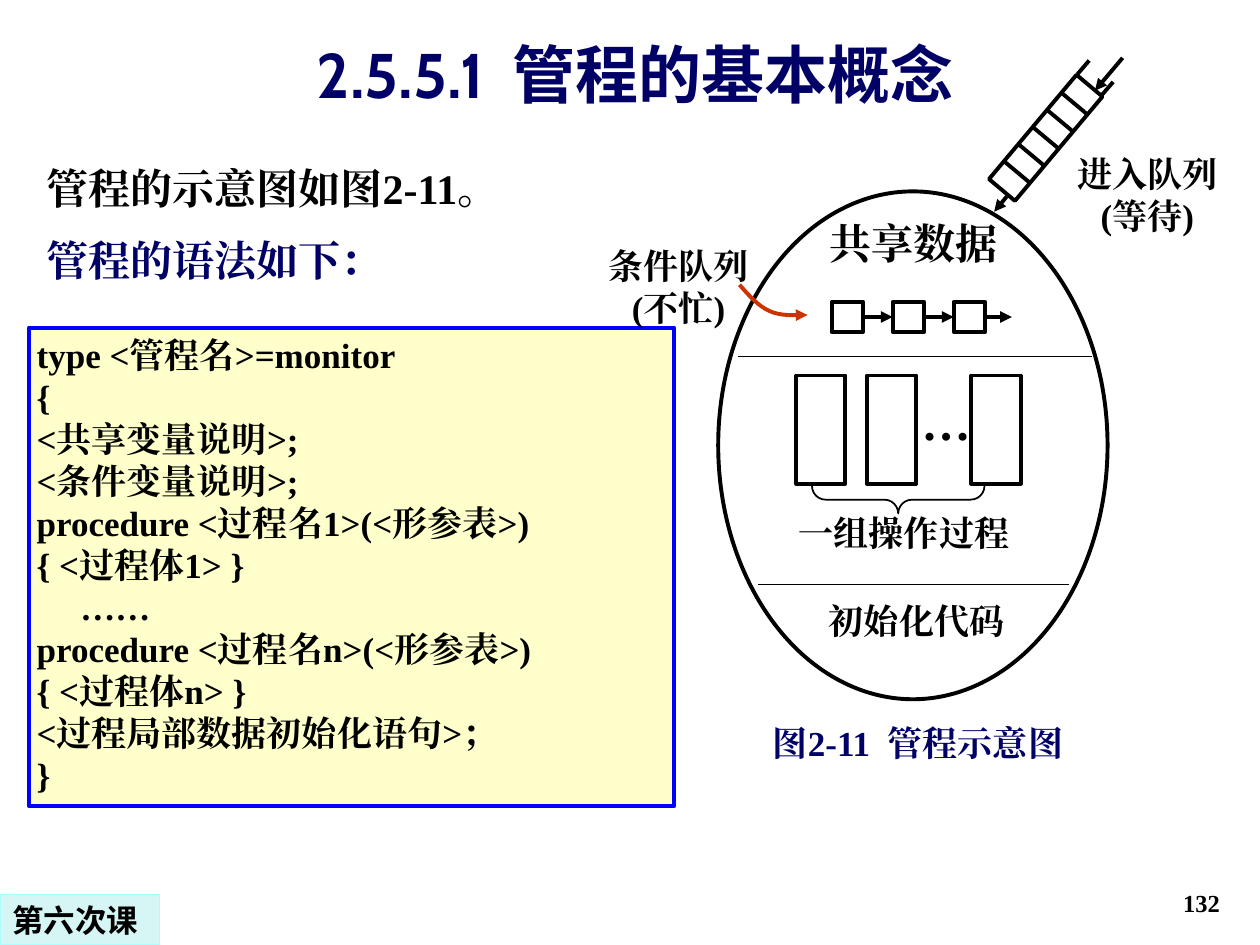
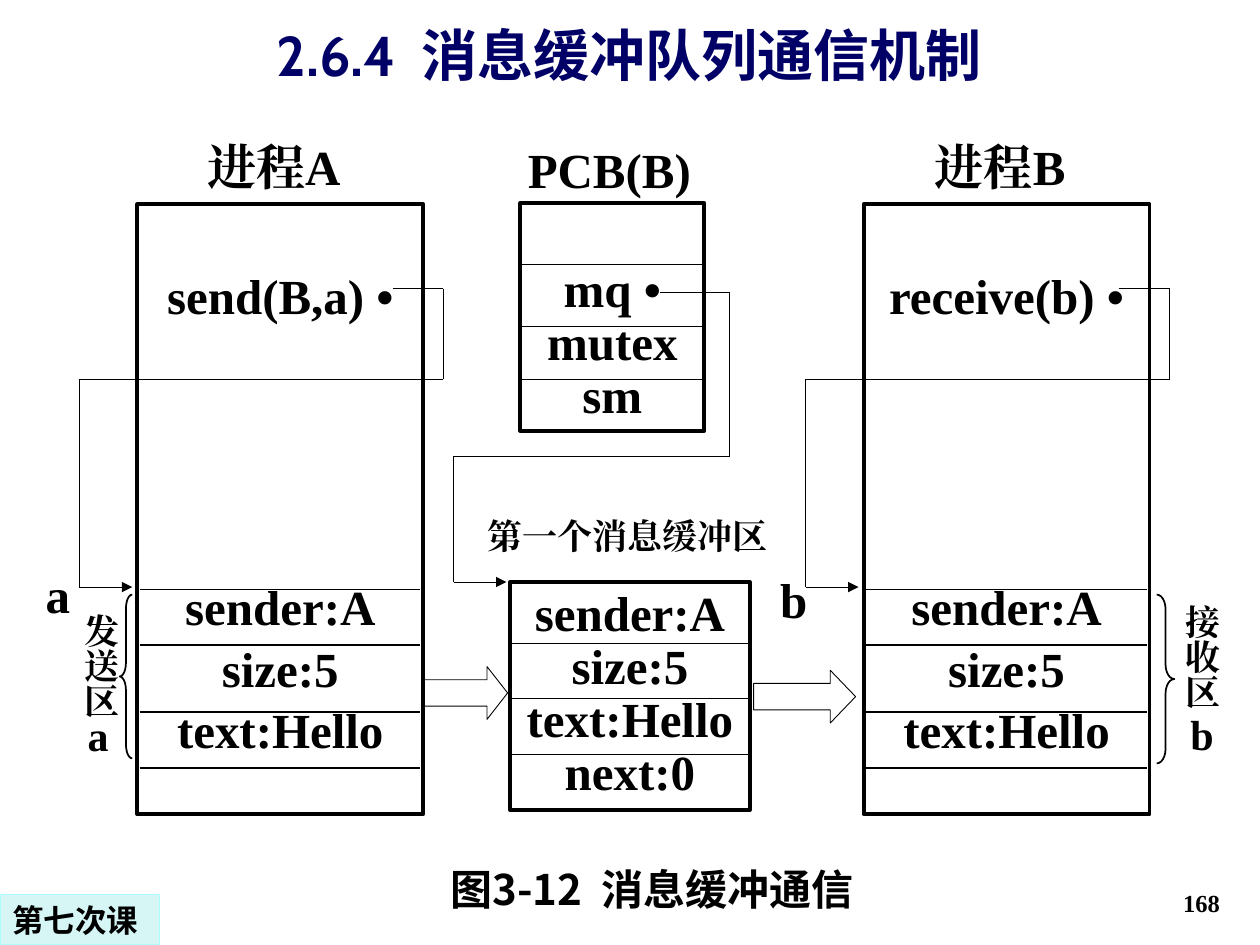
from itertools import pairwise

from pptx import Presentation
from pptx.dml.color import RGBColor
from pptx.enum.shapes import MSO_CONNECTOR, MSO_SHAPE
from pptx.enum.text import MSO_ANCHOR, PP_ALIGN
from pptx.oxml.ns import qn
from pptx.oxml.xmlchemy import OxmlElement
from pptx.util import Pt

STRAIGHT = MSO_CONNECTOR.STRAIGHT
RECT, ELLIPSE = MSO_SHAPE.RECTANGLE, MSO_SHAPE.OVAL
LEFT_BRACE, RIGHT_BRACE = MSO_SHAPE.LEFT_BRACE, MSO_SHAPE.RIGHT_BRACE
RIGHT_ARROW = MSO_SHAPE.RIGHT_ARROW
TOP, BOTTOM = MSO_ANCHOR.TOP, MSO_ANCHOR.BOTTOM
LEFT, CENTER, RIGHT = PP_ALIGN.LEFT, PP_ALIGN.CENTER, PP_ALIGN.RIGHT
SIDE_LEFT, SIDE_RIGHT = 1, 3

COLORS = {"ink": "000000", "navy": "000066", "white": "FFFFFF",
          "code": "FFFFCC", "code_edge": "0000FF", "tag": "D6F5F5",
          "tag_edge": "ADFFFF", "pointer": "CC3300"}
SERIF, TITLE, SANS, TAG = "Times New Roman", "Cabin", "Noto Sans CJK SC", "DejaVu Sans"
NORMAL, TIGHT, NARROW, NONE = (4.32, 3.6), (1.44, 0.72), (1.44, 3.6), (0, 0)
WIDE = (7.2, 3.6)
HEAVY, BRACE, RULE, THIN = 2.25, 1, 0.75, 0.5

# ---- Content: monitor slide ----
MONITOR_TITLE = "2.5.5.1  管程的基本概念"
INTRO = [("管程的示意图如图2-11。", (22.3, 89.3, 650, 36), "ink"),
         ("管程的语法如下：", (22.3, 130.3, 291, 36), "navy")]
SYNTAX = ["type <管程名>=monitor", "{", "<共享变量说明>;", "<条件变量说明>;",
          "procedure <过程名1>(<形参表>)", "{ <过程体1> }", "     ……",
          "procedure <过程名n>(<形参表>)", "{ <过程体n> }",
          "<过程局部数据初始化语句>；", "}"]
# text, frame, size, colour
MONITOR_LABELS = [
    ("共享数据", (458.6, 121, 126.7, 36), 24, "ink"),
    ("一组操作过程", (432.7, 288.7, 167.8, 31), 20, "ink"),
    ("初始化代码", (460.8, 339.1, 126, 31), 20, "ink"),
    ("图2-11  管程示意图", (387.4, 409, 274.3, 31.7), 20, "navy"),
]
QUEUE_LABELS = [(["进入队列", "(等待)"], (599.8, 83.5, 111.6, 55.4)),
                (["条件队列", "(不忙)"], (331.9, 136.1, 111.6, 55.4))]

# ---- Content: message buffer slide ----
MESSAGE_TITLE = "2.6.4  消息缓冲队列通信机制"
MESSAGE = ["sender:A", "size:5", "text:Hello"]
PROCESSES = [("进程A", "send(B,a) •"), ("进程B", "receive(b) •")]
PROCESS_PITCH = 415
PCB_ROWS = ["mq •", "mutex", "sm"]
MESSAGE_LABELS = [
    ("PCB(B)", (279.4, 76.3, 137.5, 41), 28, SERIF, NORMAL),
    ("a", (10.8, 321.8, 44.6, 35.3), 28, SERIF, TIGHT),
    ("b", (431.3, 324.7, 44.6, 35.3), 28, SERIF, TIGHT),
    ("a", (33.8, 404.6, 44.6, 30.2), 24, SERIF, TIGHT),
    ("b", (664.6, 403.9, 44.6, 30.2), 24, SERIF, TIGHT),
    ("第一个消息缓冲区", (259.2, 290.2, 198.7, 31), 20, SERIF, NORMAL),
    ("图3-12  消息缓冲通信", (170.6, 489.6, 404, 36.7), 24, SANS, NORMAL),
]
AREA_LABELS = [("发送区", (41.8, 343.4, 32.4, 77)), ("接收区", (671, 338.4, 32.4, 77))]


# ---- Shared drawing helpers ----
def color(name):
    return RGBColor.from_string(COLORS[name])


def points(values):
    return [Pt(value) for value in values]


def write(box, lines, size, font=SERIF, ink="ink", align=CENTER, anchor=TOP,
          insets=NORMAL, pitch=None, latin=None):
    frame = box.text_frame
    frame.word_wrap = True
    frame.vertical_anchor = anchor
    frame.margin_left = frame.margin_right = Pt(insets[0])
    frame.margin_top = frame.margin_bottom = Pt(insets[1])
    frame.text = "\n".join(lines)
    for para in frame.paragraphs:
        para.alignment = align
        if pitch:
            para.line_spacing = Pt(pitch)
        for span in para.runs:
            span.font.size, span.font.bold = Pt(size), True
            span.font.color.rgb = color(ink)
            span.font.name = latin or font
            east_asian = OxmlElement("a:ea")
            east_asian.set("typeface", font)
            span.font.color  # colour stays ahead of the typefaces
            span.font._element.append(east_asian)
    return frame


def label(page, lines, frame, size, **style):
    box = page.shapes.add_textbox(*points(frame))
    write(box, lines, size, **style)
    return box


def shape(page, kind, frame, fill=None, edge="ink", weight=HEAVY, rotation=0, adjust=()):
    item = page.shapes.add_shape(kind, *points(frame))
    item.shadow.inherit = False
    item.rotation = rotation
    for index, value in enumerate(adjust):
        item.adjustments[index] = value
    if fill:
        item.fill.solid()
        item.fill.fore_color.rgb = color(fill)
    else:
        item.fill.background()
    item.line.color.rgb = color(edge)
    item.line.width = Pt(weight)
    return item


def add_arrowhead(item):
    tail = OxmlElement("a:tailEnd")
    tail.set("type", "triangle")
    item._element.spPr.find(qn("a:ln")).append(tail)


def line(page, start, end, weight=HEAVY, arrow=False):
    item = page.shapes.add_connector(STRAIGHT, *points((*start, *end)))
    item.line.color.rgb = color("ink")
    item.line.width = Pt(weight)
    if arrow:
        add_arrowhead(item)
    item._element.spPr.append(OxmlElement("a:effectLst"))
    return item


def route(page, corners):
    for start, end in pairwise(corners):
        line(page, start, end, THIN, arrow=end == corners[-1])


def new_page(deck, number, lesson):
    page = deck.slides.add_slide(deck.slide_layouts[6])
    label(page, [number], (554.4, 491.8, 149.8, 36), 14, align=RIGHT,
          anchor=BOTTOM, insets=WIDE)
    tag = shape(page, RECT, (0, 511.2, 91.4, 28.8), "tag", "tag_edge", RULE)
    write(tag, [lesson], 18, font=TAG, align=LEFT, insets=WIDE)
    return page


# ---- Monitor slide ----
def draw_entry_queue(page):
    shape(page, RECT, (558.7, 69.1, 77.8, 19.4), rotation=310)
    for rung in range(5):
        left, top = 573.8 + 8.3 * rung, 92.2 - 9.7 * rung
        line(page, (left, top), (left + 15.1, top + 12.6))
    for left, top in [(615.6, 42.5), (629.3, 54.7)]:
        line(page, (left, top), (left + 6.8, top - 7.9))
    line(page, (641.5, 33.1), (625.7, 51.8), arrow=True)
    line(page, (575.3, 112.3), (568.1, 121), arrow=True)


def draw_condition_queue(page):
    nodes = [shape(page, RECT, (475.2 + 34.9 * i, 172.5, 18, 17.3), "white")
             for i in range(3)]
    for index, node in enumerate(nodes):
        link = line(page, (493, 181), (578.2, 181.15), arrow=True)
        link.begin_connect(node, SIDE_RIGHT)
        if index + 1 < len(nodes):
            link.end_connect(nodes[index + 1], SIDE_LEFT)


def bezier(start, first, second, end, steps=8):
    for step in range(1, steps + 1):
        t = step / steps
        weights = ((1 - t) ** 3, 3 * t * (1 - t) ** 2, 3 * t * t * (1 - t), t ** 3)
        yield tuple(Pt(sum(w * p[axis] for w, p in zip(weights, (start, first, second, end))))
                    for axis in (0, 1))


def draw_pointer(page):
    start, middle, end = (422.6, 162.7), (439.9, 177.8), (461.5, 180)
    curve = [*bezier(start, (427.7, 168.5), (433.4, 175), middle),
             *bezier(middle, (446.4, 180.7), (453.6, 180), end)]
    builder = page.shapes.build_freeform(*points(start), scale=1.0)
    builder.add_line_segments(curve, close=False)
    pointer = builder.convert_to_shape()
    pointer.shadow.inherit = False
    pointer.fill.background()
    pointer.line.color.rgb = color("pointer")
    pointer.line.width = Pt(HEAVY)
    add_arrowhead(pointer)


def monitor_slide(deck):
    page = new_page(deck, "132", "第六次课")
    label(page, [MONITOR_TITLE], (21.6, 9.4, 682.6, 57.6), 36, font=TITLE,
          ink="navy", anchor=BOTTOM, insets=WIDE)
    for text, frame, ink in INTRO:
        label(page, [text], frame, 24, ink=ink, align=LEFT)
    code = shape(page, RECT, (16.6, 187.2, 368.6, 273.6), "code", "code_edge")
    write(code, SYNTAX, 20, align=LEFT, pitch=24)

    draw_entry_queue(page)
    draw_condition_queue(page)
    # Procedures
    for left in (455, 495.4, 555.1):
        shape(page, RECT, (left, 214.6, 28.1, 61.9), "white")
    label(page, ["…"], (519.1, 223.9, 43.2, 33.8), 28, insets=NONE)
    shape(page, LEFT_BRACE, (505.4, 236.2, 15.8, 98.6), weight=BRACE,
          rotation=270, adjust=(0.5, 0.5))
    # Monitor outline and its sections
    shape(page, ELLIPSE, (410.4, 109.4, 222.5, 290.2))
    for left, right, top in [(433.4, 610.6, 334.1), (421.9, 624.2, 203.8)]:
        line(page, (left, top), (right, top), THIN)
    for text, frame, size, ink in MONITOR_LABELS:
        label(page, [text], frame, size, ink=ink)
    for lines, frame in QUEUE_LABELS:
        label(page, lines, frame, 20, insets=NARROW, pitch=24)
    draw_pointer(page)


# ---- Message buffer slide ----
def draw_process(page, name, call, shift):
    body = shape(page, RECT, (78.5 + shift, 116.8, 163.4, 348.5))
    frame = write(body, [call, *MESSAGE], 28, pitch=33.6)
    frame.margin_top = Pt(35)
    for para, gap in zip(frame.paragraphs[1:], (144, 1.7, 1.7)):
        para.space_before = Pt(gap)
    for top in (337, 368.6, 406.8, 438.8):
        line(page, (79.8 + shift, top), (240.2 + shift, top), RULE)
    route(page, [(left + shift, top) for left, top in
                 [(224.6, 164.9), (253.4, 164.9), (253.4, 216.7),
                  (45.4, 216.7), (45.4, 335.5), (75.6, 335.5)]])
    label(page, [name], (77 + shift, 74.2, 159.1, 41), 28)


def draw_buffer(page, frame, rows, rules, fill=None):
    body = shape(page, RECT, frame, fill)
    text = write(body, rows, 28, pitch=30.25)
    for top in rules:
        line(page, (frame[0], top), (frame[0] + frame[2], top), THIN)
    return text


def message_slide(deck):
    page = new_page(deck, "168", "第七次课")
    label(page, [MESSAGE_TITLE], (61.9, 7.9, 595.4, 59), 32, font=SANS,
          latin=TITLE, ink="navy", insets=WIDE)
    # PCB and first message buffer
    pcb = draw_buffer(page, (297.4, 115.9, 105.1, 130.3), PCB_ROWS,
                      (151.2, 186.5, 216.7), "white")
    pcb.margin_top = Pt(35)
    draw_buffer(page, (291.6, 332.6, 136.8, 130.3), [*MESSAGE, "next:0"],
                (367.9, 398.9, 431.3))
    route(page, [(377.3, 167), (416.9, 167), (416.9, 260.6), (259.2, 260.6),
                 (259.2, 332.6), (289.4, 332.6)])
    for index, (name, call) in enumerate(PROCESSES):
        draw_process(page, name, call, index * PROCESS_PITCH)
    # Labels, braces and transfer arrows
    for text, frame, size, font, insets in MESSAGE_LABELS:
        label(page, [text], frame, size, font=font, insets=insets)
    for text, frame in AREA_LABELS:
        box = label(page, [text], frame, 20)
        box.text_frame._txBody.bodyPr.set("vert", "eaVert")
    shape(page, LEFT_BRACE, (68.4, 339.8, 7.2, 93.6), weight=BRACE, adjust=(1.1, 0.5))
    shape(page, RIGHT_BRACE, (661, 339.8, 10.1, 96.5), weight=BRACE, adjust=(0.82, 0.5))
    for frame, head in [((242.6, 380.9, 47.5, 30.2), 0.39),
                        ((430.6, 383, 58.3, 30.2), 0.48)]:
        shape(page, RIGHT_ARROW, frame, "white", weight=THIN, adjust=(0.5, head))


def main():
    deck = Presentation()
    deck.slide_width, deck.slide_height = Pt(720), Pt(540)
    monitor_slide(deck)
    message_slide(deck)
    deck.save("out.pptx")


if __name__ == "__main__":
    main()
